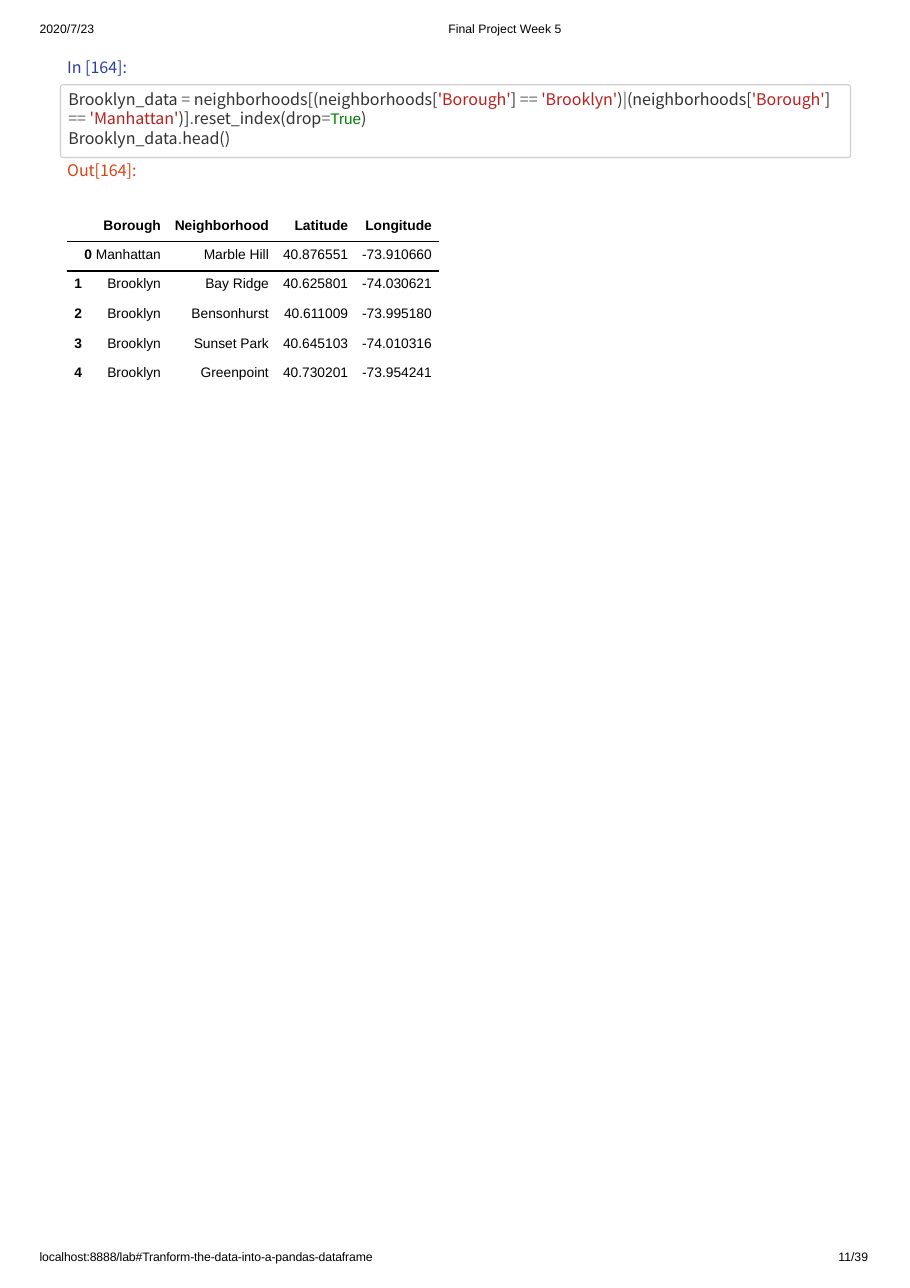
from lxml.etree import SubElement
from pptx import Presentation
from pptx.dml.color import RGBColor
from pptx.enum.shapes import MSO_SHAPE as Shape
from pptx.enum.text import MSO_ANCHOR as Anchor, PP_ALIGN as Align
from pptx.oxml.ns import qn
from pptx.util import Emu, Pt

BLACK, PROMPT_IN, PROMPT_OUT = "000000", "2F3F9E", "D84215"
NAME, SIGN, STRING, KEYWORD = "333333", "666666", "B92020", "008000"
SANS, CODE = "Arial", "Noto Sans CJK SC"
TITLE_ONLY = 5


def px(length):
    """Turn px, a hundred to the inch, into EMU."""
    return Emu(length * 9144)


def colour(code):
    """Turn a hex string into a colour."""
    return RGBColor.from_string(code)


class Page:
    """Draws notebook elements on one slide."""

    def __init__(self, deck):
        """Add the slide to the deck."""
        self.slide = deck.slides.add_slide(deck.slide_layouts[TITLE_ONLY])
        self.shapes = self.slide.shapes

    def run(self, paragraph, words, ink=BLACK, size=8, face=SANS, bold=False, tracking=0):
        """Append one formatted run."""
        run = paragraph.add_run()
        run.text = words
        font = run.font
        font.size, font.name, font.bold = Pt(size), face, bold
        font.color.rgb = colour(ink)
        if tracking:
            run._r.get_or_add_rPr().set("spc", str(tracking))

    def frame(self, holder, top_margin):
        """Prepare a text frame with tight margins."""
        frame = holder.text_frame
        frame.word_wrap = True
        frame.vertical_anchor = Anchor.TOP
        frame.margin_left = frame.margin_right = frame.margin_bottom = 0
        frame.margin_top = px(top_margin)
        return frame

    def label(self, words, box, top_margin=0, before=0, tracking=0, holder=None):
        """Place one line of small text."""
        holder = holder or self.shapes.add_textbox(0, 0, 0, 0)
        holder.left, holder.top, holder.width, holder.height = map(px, box)
        line = self.frame(holder, top_margin).paragraphs[0]
        line.alignment = Align.LEFT
        line.space_before = Pt(before)
        self.run(line, words, tracking=tracking)

    def title(self, words, box):
        """Fill the title placeholder."""
        self.label(words, box, 1, 1, holder=self.shapes.title)

    def border(self, box):
        """Outline the code cell."""
        outline = self.shapes.add_shape(Shape.ROUNDED_RECTANGLE, *map(px, box))
        outline.adjustments[0] = 0.03
        outline.shadow.inherit = False
        outline.fill.background()
        outline.line.color.rgb = colour("CFCFCF")
        outline.line.width = Pt(0.75)

    def code(self, lines, box):
        """Write coloured code lines as (indent, space before, tokens)."""
        frame = self.frame(self.shapes.add_textbox(*map(px, box)), 1)
        for number, (indent, before, tokens) in enumerate(lines):
            line = frame.add_paragraph() if number else frame.paragraphs[0]
            line.space_before = Pt(before)
            line._p.get_or_add_pPr().set("marL", str(px(indent)))
            for words, ink in tokens:
                if ink == KEYWORD:
                    self.run(line, words, ink, 10)
                else:
                    self.run(line, words, ink, 10.5, CODE)

    def rule(self, cell, side):
        """Draw a black rule on one side of a cell."""
        edge = SubElement(cell._tc.get_or_add_tcPr(), qn(f"a:{side}"), w=str(Pt(1)))
        fill = SubElement(edge, qn("a:solidFill"))
        SubElement(fill, qn("a:srgbClr"), val=BLACK)

    def cell(self, cell, runs, row, last_row):
        """Fill one right-aligned table cell."""
        cell.margin_left = cell.margin_bottom = 0
        cell.margin_right = px(6)
        cell.margin_top = px(5 if row else 0)
        if row in (1, 2):
            self.rule(cell, "lnT")
        if row in (0, 1):
            self.rule(cell, "lnB")
        cell.fill.background()
        line = cell.text_frame.paragraphs[0]
        line.alignment = Align.RIGHT
        if row in (0, last_row):
            line.line_spacing = Pt(9.9)
        if row:
            line.space_before = Pt(4)
        if len(runs) > 1:
            stops = SubElement(line._p.get_or_add_pPr(), qn("a:tabLst"))
            SubElement(stops, qn("a:tab"), pos=str(px(30)), algn="l")
        for words, bold in runs:
            self.run(line, words, size=9, bold=bold)

    def table(self, headings, records, corner, widths, heights):
        """Draw a data frame with its index in the first column."""
        grid = self.shapes.add_table(
            len(heights), len(widths), *map(px, (*corner, sum(widths), sum(heights)))
        ).table
        grid.first_row = grid.horz_banding = False
        for column, width in zip(grid.columns, widths):
            column.width = px(width)
        for row, height in zip(grid.rows, heights):
            row.height = px(height)
        for row, values in enumerate([headings, *records]):
            for column, value in enumerate(values):
                runs = [(value, row == 0)]
                if row and not column:
                    gap = "\t" if row > 1 else " "
                    runs.insert(0, (f"{row - 1}{gap}", True))
                self.cell(grid.cell(row, column), runs, row, len(records))


def main():
    """Build the notebook page."""
    deck = Presentation()
    deck.slide_width, deck.slide_height = px(826), px(1169)
    page = Page(deck)
    page.label("2020/7/23", (36, 18, 60, 16), 1, 1)
    page.title("Final Project Week 5", (407, 18, 115, 16))
    page.border((55, 77, 717, 66))
    page.code([
        (4, 1, [("In [164]:", PROMPT_IN)]),
        (5, 8.5, [
            ("Brooklyn_data ", NAME), ("=", SIGN),
            (" neighborhoods[(neighborhoods[", NAME), ("'Borough'", STRING),
            ("] ", NAME), ("== ", SIGN), ("'Brooklyn'", STRING), (")", NAME),
            ("|", SIGN), ("(neighborhoods[", NAME), ("'Borough'", STRING), ("]", NAME),
        ]),
        (5, 0, [
            ("== ", SIGN), ("'Manhattan'", STRING), (")]", NAME), (".", SIGN),
            ("reset_index(drop", NAME), ("=", SIGN), ("True", KEYWORD), (")", NAME),
        ]),
        (5, 0, [("Brooklyn_data", NAME), (".", SIGN), ("head()", NAME)]),
        (4, 8.5, [("Out[164]:", PROMPT_OUT)]),
    ], (57, 51, 715, 116))
    page.table(
        ["Borough", "Neighborhood", "Latitude", "Longitude"],
        [
            ["Manhattan", "Marble Hill", "40.876551", "-73.910660"],
            ["Brooklyn", "Bay Ridge", "40.625801", "-74.030621"],
            ["Brooklyn", "Bensonhurst", "40.611009", "-73.995180"],
            ["Brooklyn", "Sunset Park", "40.645103", "-74.010316"],
            ["Brooklyn", "Greenpoint", "40.730201", "-73.954241"],
        ],
        (61, 198), [91, 98, 72, 76], [21, 27, 27, 27, 27, 21],
    )
    page.label("localhost:8888/lab#Tranform-the-data-into-a-pandas-dataframe",
               (36, 1134, 330, 15), tracking=-10)
    page.label("11/39", (761, 1134, 40, 15))
    deck.save("out.pptx")


if __name__ == "__main__":
    main()
